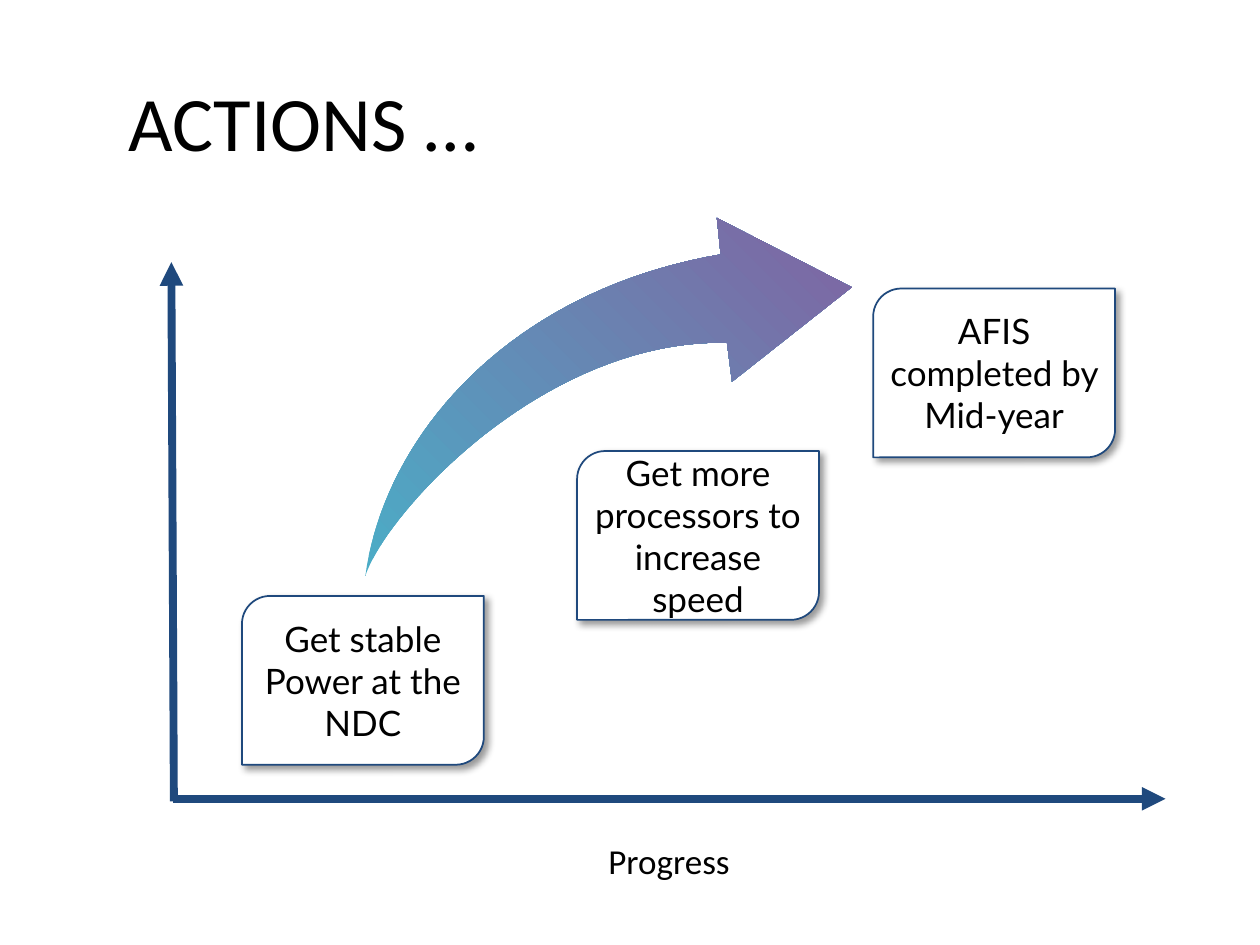
from lxml import etree
from pptx import Presentation
from pptx.dml.color import RGBColor
from pptx.enum.shapes import MSO_CONNECTOR, MSO_SHAPE
from pptx.enum.text import MSO_ANCHOR, PP_ALIGN
from pptx.oxml import parse_xml
from pptx.oxml.ns import nsdecls, qn
from pptx.util import Inches, Pt

BLACK = RGBColor(0, 0, 0)
WHITE = RGBColor(0xFF, 0xFF, 0xFF)
NAVY = RGBColor(0x1F, 0x49, 0x7D)
TEAL = RGBColor(0x4B, 0xAC, 0xC6)
PURPLE = RGBColor(0x80, 0x64, 0xA2)

TITLE = "ACTIONS …"
AXIS_LABEL = "Progress"
AXES = [((1.37, 6.34), (9.25, 6.34)), ((1.38, 6.36), (1.36, 2.08))]
STEPS = [
    ("Get stable Power at the NDC", 1.92, 4.73),
    ("Get more processors to increase speed", 4.58, 3.58),
    ("AFIS completed by Mid-year", 6.93, 2.29),
]
STEP_W, STEP_H = 1.92, 1.34

# Swoosh: outer curve, arrowhead, inner curve back to the tail
OUTER = [(2.9, 4.57), (3.05, 3.47), (4.03, 2.31), (5.72, 2.02)]
HEAD = [(5.69, 1.73), (6.76, 2.28), (5.81, 3.03)]
INNER = [(5.77, 2.72), (4.32, 2.69), (3.07, 4.06), (2.9, 4.57)]

SHADOW = (
    f'<a:effectLst {nsdecls("a")}><a:outerShdw blurRad="50800" dist="38100" '
    'dir="2700000" algn="tl" rotWithShape="0"><a:srgbClr val="000000">'
    '<a:alpha val="40000"/></a:srgbClr></a:outerShdw></a:effectLst>'
)


def bezier(points, steps=40):
    """Points along a cubic Bezier curve, both ends included."""
    curve = []
    for i in range(steps + 1):
        t = i / steps
        weights = ((1 - t) ** 3, 3 * t * (1 - t) ** 2, 3 * t * t * (1 - t), t ** 3)
        curve.append(tuple(sum(w * p[k] for w, p in zip(weights, points)) for k in (0, 1)))
    return curve


def write(tf, text, font, size, align):
    tf.word_wrap = True
    tf.text = text
    p = tf.paragraphs[0]
    p.alignment = align
    p.font.name, p.font.size = font, Pt(size)
    p.font.color.rgb = BLACK


def add_axis(s, start, end):
    line = s.shapes.add_connector(MSO_CONNECTOR.STRAIGHT, *map(Inches, start + end))
    line.line.color.rgb = NAVY
    line.line.width = Pt(4.5)
    etree.SubElement(line.line._get_or_add_ln(), qn("a:tailEnd"), type="triangle")
    etree.SubElement(line._element.spPr, qn("a:effectLst"))


def add_step(s, text, x, y):
    sp = s.shapes.add_shape(MSO_SHAPE.ROUND_2_DIAG_RECTANGLE,
                            Inches(x), Inches(y), Inches(STEP_W), Inches(STEP_H))
    sp.fill.solid()
    sp.fill.fore_color.rgb = WHITE
    sp.line.color.rgb = NAVY
    sp.line.width = Pt(1)
    sp._element.spPr.append(parse_xml(SHADOW))
    tf = sp.text_frame
    tf.margin_left = tf.margin_right = tf.margin_top = tf.margin_bottom = Inches(0.05)
    tf.vertical_anchor = MSO_ANCHOR.MIDDLE
    write(tf, text, "Lato", 20, PP_ALIGN.CENTER)


def add_swoosh(s):
    points = [(Inches(x), Inches(y)) for x, y in bezier(OUTER) + HEAD + bezier(INNER)]
    builder = s.shapes.build_freeform(*points[0])
    builder.add_line_segments(points[1:], close=True)
    sp = builder.convert_to_shape()
    sp.shadow.inherit = False
    sp.line.fill.background()
    sp.fill.gradient()
    sp.fill.gradient_angle = 45
    for stop, color, position in zip(sp.fill.gradient_stops, (TEAL, PURPLE), (0, 1)):
        stop.color.rgb = color
        stop.position = position


def main():
    prs = Presentation()
    prs.slide_width, prs.slide_height = Inches(10), Inches(7.5)
    s = prs.slides.add_slide(prs.slide_layouts[5])

    title = s.shapes.title
    title.left, title.top = Inches(0.92), Inches(0.33)
    title.width, title.height = Inches(8.83), Inches(1.25)
    title.text_frame.vertical_anchor = MSO_ANCHOR.MIDDLE
    write(title.text_frame, TITLE, "Calibri", 44, PP_ALIGN.LEFT)

    for start, end in AXES:
        add_axis(s, start, end)
    label = s.shapes.add_textbox(Inches(1.6), Inches(6.61), Inches(7.42), Inches(0.4))
    write(label.text_frame, AXIS_LABEL, "Calibri", 20, PP_ALIGN.CENTER)

    for step in STEPS:
        add_step(s, *step)
    add_swoosh(s)
    prs.save("out.pptx")


if __name__ == "__main__":
    main()
